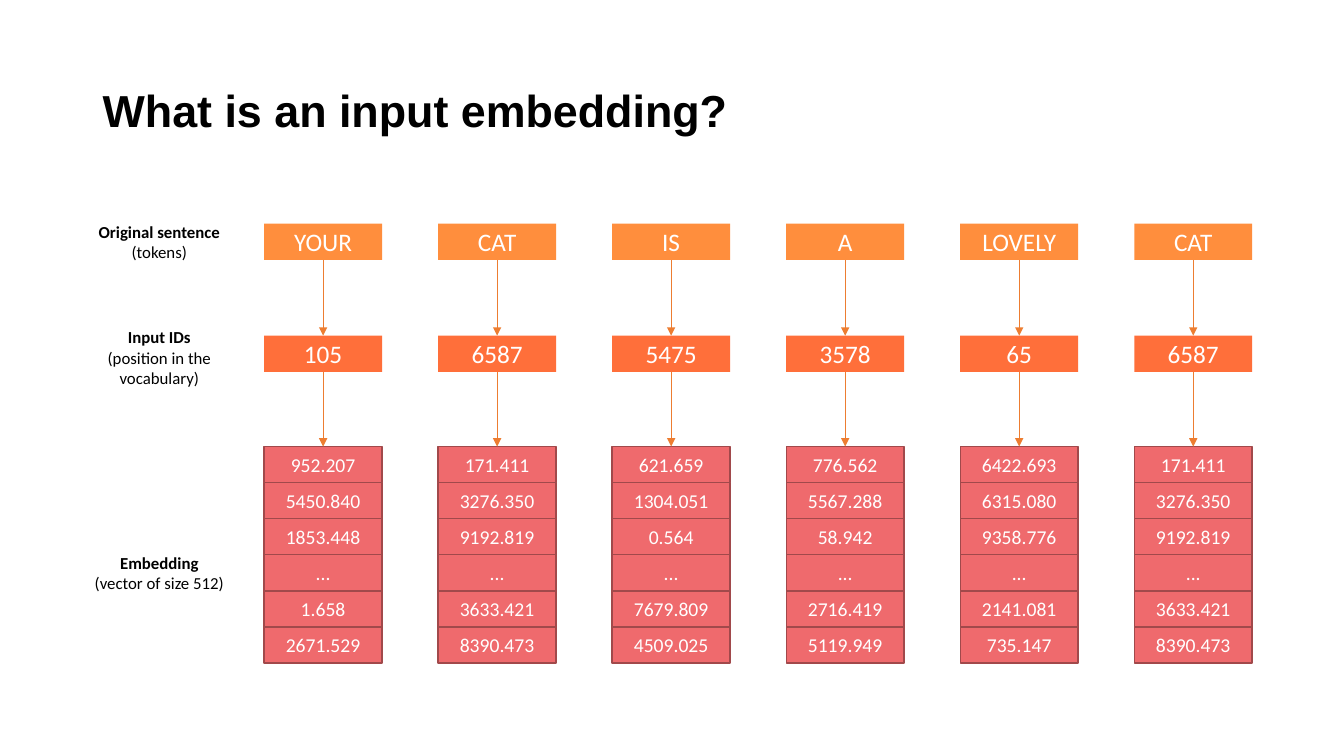
"""Build the slide that follows a sentence from tokens to input IDs to embeddings."""
from dataclasses import dataclass
from typing import NamedTuple

from lxml.etree import SubElement
from pptx import Presentation
from pptx.dml.color import RGBColor
from pptx.enum.shapes import MSO_CONNECTOR, MSO_SHAPE
from pptx.enum.text import MSO_ANCHOR, PP_ALIGN
from pptx.oxml.ns import qn
from pptx.shapes.autoshape import Shape
from pptx.slide import Slide
from pptx.util import Inches, Pt

BLACK = RGBColor(0x00, 0x00, 0x00)
WHITE = RGBColor(0xFF, 0xFF, 0xFF)
TOKEN_ORANGE = RGBColor(0xFF, 0x8E, 0x3D)
ID_ORANGE = RGBColor(0xFF, 0x6F, 0x3A)
VECTOR_RED = RGBColor(0xEF, 0x6A, 0x6D)
VECTOR_BORDER = RGBColor(0xA1, 0x49, 0x4B)
ARROW_ORANGE = RGBColor(0xED, 0x7D, 0x31)

FIRST_LEFT, LAST_LEFT = 2.62, 11.25
CELL_WIDTH, CELL_HEIGHT = 1.17, 0.36
TOKEN_TOP, ID_TOP = 2.22, 3.33
VECTOR_TOP, VECTOR_LAST_TOP = 4.43, 6.22
LABEL_LEFT, LABEL_WIDTH = 0.54, 2.08


class Box(NamedTuple):
    left: float
    top: float
    width: float
    height: float


class CellStyle(NamedTuple):
    fill: RGBColor
    size: int
    border: RGBColor | None = None


@dataclass(frozen=True)
class Token:
    word: str
    input_id: str
    vector: tuple[str, ...]


@dataclass(frozen=True)
class RowLabel:
    heading: str
    details: tuple[str, ...]
    top: float
    height: float


TOKEN_STYLE = CellStyle(TOKEN_ORANGE, 18)
ID_STYLE = CellStyle(ID_ORANGE, 18)
VECTOR_STYLE = CellStyle(VECTOR_RED, 14, VECTOR_BORDER)

CAT = Token("CAT", "6587", ("171.411", "3276.350", "9192.819", "...", "3633.421", "8390.473"))
SENTENCE = (
    Token("YOUR", "105", ("952.207", "5450.840", "1853.448", "...", "1.658", "2671.529")),
    CAT,
    Token("IS", "5475", ("621.659", "1304.051", "0.564", "...", "7679.809", "4509.025")),
    Token("A", "3578", ("776.562", "5567.288", "58.942", "...", "2716.419", "5119.949")),
    Token("LOVELY", "65", ("6422.693", "6315.080", "9358.776", "...", "2141.081", "735.147")),
    CAT,
)
ROW_LABELS = (
    RowLabel("Original sentence", ("(tokens)",), 2.15, 0.5),
    RowLabel("Input IDs", ("(position in the", "vocabulary)"), 3.19, 0.71),
    RowLabel("Embedding", ("(vector of size 512)",), 5.43, 0.5),
)


def write_lines(shape: Shape, lines: tuple[str, ...], size: int, color: RGBColor,
                name: str = "Calibri", align: PP_ALIGN = PP_ALIGN.CENTER,
                bold_heading: bool = False) -> None:
    """Write one paragraph per line, optionally with the first one bold."""
    frame = shape.text_frame
    frame.word_wrap = True
    frame.vertical_anchor = MSO_ANCHOR.MIDDLE
    frame.text = "\n".join(lines)
    for index, paragraph in enumerate(frame.paragraphs):
        paragraph.alignment = align
        font = paragraph.runs[0].font
        font.color.rgb = color
        formats = {"name": name, "size": Pt(size), "bold": bold_heading and index == 0}
        for attribute, value in formats.items():
            setattr(font, attribute, value)


def add_text(slide: Slide, box: Box) -> Shape:
    """Add an empty text box."""
    return slide.shapes.add_textbox(*map(Inches, box))


def add_cell(slide: Slide, left: float, top: float, text: str, style: CellStyle) -> Shape:
    """Add one filled cell of the grid."""
    box = Box(left, top, CELL_WIDTH, CELL_HEIGHT)
    cell = slide.shapes.add_shape(MSO_SHAPE.RECTANGLE, *map(Inches, box))
    cell.shadow.inherit = False
    cell.fill.solid()
    cell.fill.fore_color.rgb = style.fill
    if style.border is None:
        cell.line.fill.background()
    else:
        cell.line.color.rgb = style.border
        cell.line.width = Pt(1)
    write_lines(cell, (text,), style.size, WHITE)
    return cell


def add_arrow(slide: Slide, upper: Shape, lower: Shape) -> None:
    """Join the bottom of one cell to the top of another with an arrow."""
    arrow = slide.shapes.add_connector(MSO_CONNECTOR.STRAIGHT, 0, 0, 0, 0)
    arrow.begin_connect(upper, 2)
    arrow.end_connect(lower, 0)
    arrow.line.color.rgb = ARROW_ORANGE
    arrow.line.width = Pt(0.5)
    SubElement(arrow.line._get_or_add_ln(), qn("a:tailEnd"), type="triangle")
    SubElement(arrow._element.spPr, qn("a:effectLst"))


def add_token(slide: Slide, token: Token, left: float) -> None:
    """Add the column of cells and arrows for one token."""
    word = add_cell(slide, left, TOKEN_TOP, token.word, TOKEN_STYLE)
    input_id = add_cell(slide, left, ID_TOP, token.input_id, ID_STYLE)
    pitch = (VECTOR_LAST_TOP - VECTOR_TOP) / (len(token.vector) - 1)
    vector = [add_cell(slide, left, VECTOR_TOP + row * pitch, value, VECTOR_STYLE)
              for row, value in enumerate(token.vector)]
    add_arrow(slide, word, input_id)
    add_arrow(slide, input_id, vector[0])


def main() -> None:
    """Build and save the presentation."""
    presentation = Presentation()
    presentation.slide_width = Inches(13.33)
    presentation.slide_height = Inches(7.5)
    slide = presentation.slides.add_slide(presentation.slide_layouts[6])

    title = add_text(slide, Box(0.92, 0.4, 11.5, 1.45))
    write_lines(title, ("What is an input embedding?",), 32, BLACK,
                name="Arial", align=PP_ALIGN.LEFT, bold_heading=True)
    title.text_frame.paragraphs[0].line_spacing = 0.9

    for label in ROW_LABELS:
        text_box = add_text(slide, Box(LABEL_LEFT, label.top, LABEL_WIDTH, label.height))
        write_lines(text_box, (label.heading, *label.details), 12, BLACK, bold_heading=True)

    pitch = (LAST_LEFT - FIRST_LEFT) / (len(SENTENCE) - 1)
    for column, token in enumerate(SENTENCE):
        add_token(slide, token, FIRST_LEFT + column * pitch)

    presentation.save("out.pptx")


if __name__ == "__main__":
    main()
